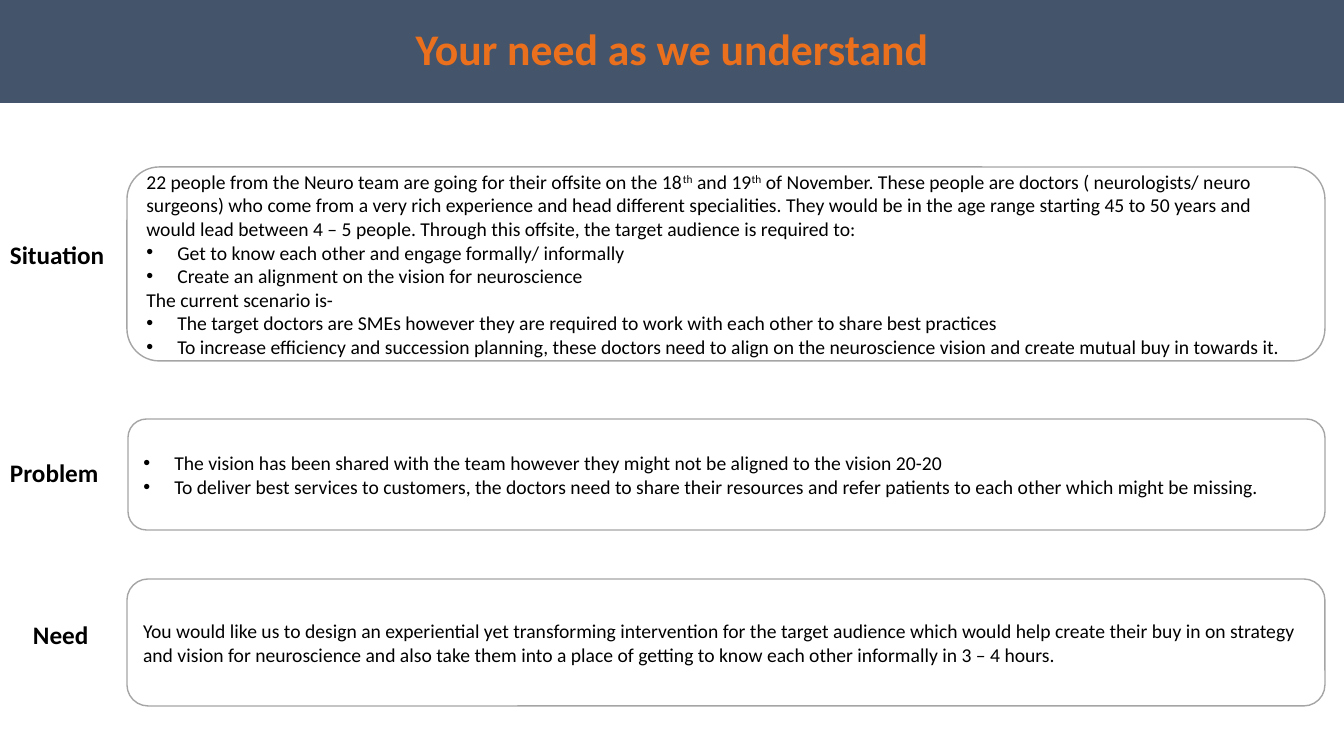
from dataclasses import dataclass

from lxml import etree
from pptx import Presentation
from pptx import util as u
from pptx.dml.color import RGBColor
from pptx.enum import shapes, text
from pptx.oxml.ns import qn

EMU_PER_PX = 914400 / 100.8
WIDTH, HEIGHT = 1344, 756


@dataclass(frozen=True)
class Theme:
    """Colours, font and type sizes of the slide."""
    font: str = "Calibri"
    banner: str = "44546A"
    accent: str = "EB701D"
    ink: str = "000000"
    paper: str = "FFFFFF"
    outline: str = "A5A5A5"
    title_size: float = 31.2
    label_size: int = 18
    body_size: int = 14
    bullet_indent: int = 31


def px(length):
    """Turn whole pixels into EMU."""
    return u.Emu(round(length * EMU_PER_PX))


def write_text(paragraph, content, *, font, size, color, bold=False, align=text.PP_ALIGN.LEFT):
    """Fill a paragraph, raising the parts between carets."""
    paragraph.alignment = align
    for index, part in enumerate(content.split("^")):
        run = paragraph.add_run()
        run.text = part
        run.font.name, run.font.size, run.font.bold = font, u.Pt(size), bold
        run.font.color.rgb = RGBColor.from_string(color)
        if index % 2:
            run.font._element.set("baseline", "30000")


class SlideBuilder:
    """Draws the elements of one slide in one theme."""

    def __init__(self, slide, theme):
        self.slide = slide
        self.theme = theme

    def panel(self, kind, box, fill, line=None):
        """Add a filled shape and return its text frame."""
        shape = self.slide.shapes.add_shape(kind, *map(px, box))
        shape.shadow.inherit = False
        shape.fill.solid()
        shape.fill.fore_color.rgb = RGBColor.from_string(fill)
        if line:
            shape.line.color.rgb = RGBColor.from_string(line)
            shape.line.width = u.Pt(1)
        else:
            shape.line.fill.background()
        frame = shape.text_frame
        frame.word_wrap = True
        frame.vertical_anchor = text.MSO_ANCHOR.MIDDLE
        return frame

    def banner(self, content, height):
        """Add the title band across the top."""
        theme = self.theme
        frame = self.panel(shapes.MSO_SHAPE.RECTANGLE, (0, 0, WIDTH, height), theme.banner)
        paragraph = frame.paragraphs[0]
        paragraph.line_spacing = 0.9
        write_text(paragraph, content, font=theme.font, size=theme.title_size,
                   color=theme.accent, bold=True, align=text.PP_ALIGN.CENTER)

    def label(self, content, left, top):
        """Add a bold row label."""
        theme = self.theme
        shape = self.slide.shapes.add_textbox(*map(px, (left, top, 143, 40)))
        frame = shape.text_frame
        frame.word_wrap = True
        frame.auto_size = text.MSO_AUTO_SIZE.SHAPE_TO_FIT_TEXT
        write_text(frame.paragraphs[0], content, font=theme.font, size=theme.label_size,
                   color=theme.ink, bold=True)

    def bullet(self, paragraph):
        """Give a paragraph a hanging bullet."""
        indent = px(self.theme.bullet_indent)
        properties = paragraph._p.get_or_add_pPr()
        properties.set("marL", str(indent))
        properties.set("indent", str(-indent))
        etree.SubElement(properties, qn("a:buFont")).set("typeface", "Arial")
        etree.SubElement(properties, qn("a:buChar")).set("char", "•")

    def card(self, box, lines):
        """Add a rounded card of (is bullet, content) lines."""
        theme = self.theme
        frame = self.panel(shapes.MSO_SHAPE.ROUNDED_RECTANGLE, box, theme.paper, theme.outline)
        for index, (is_bullet, content) in enumerate(lines):
            paragraph = frame.add_paragraph() if index else frame.paragraphs[0]
            if is_bullet:
                self.bullet(paragraph)
            write_text(paragraph, content, font=theme.font, size=theme.body_size, color=theme.ink)


ROWS = [
    ("Situation", (0, 234), (127, 167, 1198, 194), [
        (False, "22 people from the Neuro team are going for their offsite on the 18^th^ and 19^th^ of "
                "November. These people are doctors ( neurologists/ neuro surgeons) who come from a very "
                "rich experience and head different specialities. They would be in the age range starting "
                "45 to 50 years and would lead between 4 – 5 people. Through this offsite, the target "
                "audience is required to:"),
        (True, "Get to know each other and engage formally/ informally"),
        (True, "Create an alignment on the vision for neuroscience"),
        (False, "The current scenario is-"),
        (True, "The target doctors are SMEs however they are required to work with each other to share "
               "best practices"),
        (True, "To increase efficiency and succession planning, these doctors need to align on the "
               "neuroscience vision and create mutual buy in towards it."),
    ]),
    ("Problem", (0, 452), (128, 419, 1197, 111), [
        (True, "The vision has been shared with the team however they might not be aligned to the "
               "vision 20-20"),
        (True, "To deliver best services to customers, the doctors need to share their resources and "
               "refer patients to each other which might be missing."),
    ]),
    ("Need", (23, 614), (127, 579, 1198, 127), [
        (False, "You would like us to design an experiential yet transforming intervention for the target "
                "audience which would help create their buy in on strategy and vision for neuroscience "
                "and also take them into a place of getting to know each other informally in 3 – 4 hours."),
    ]),
]


def main():
    """Build and save the slide."""
    presentation = Presentation()
    presentation.slide_width, presentation.slide_height = px(WIDTH), px(HEIGHT)
    slide = presentation.slides.add_slide(presentation.slide_layouts[6])
    builder = SlideBuilder(slide, Theme())
    builder.banner("Your need as we understand", 103)
    for name, position, box, lines in ROWS:
        builder.card(box, lines)
        builder.label(name, *position)
    presentation.save("out.pptx")


if __name__ == "__main__":
    main()
